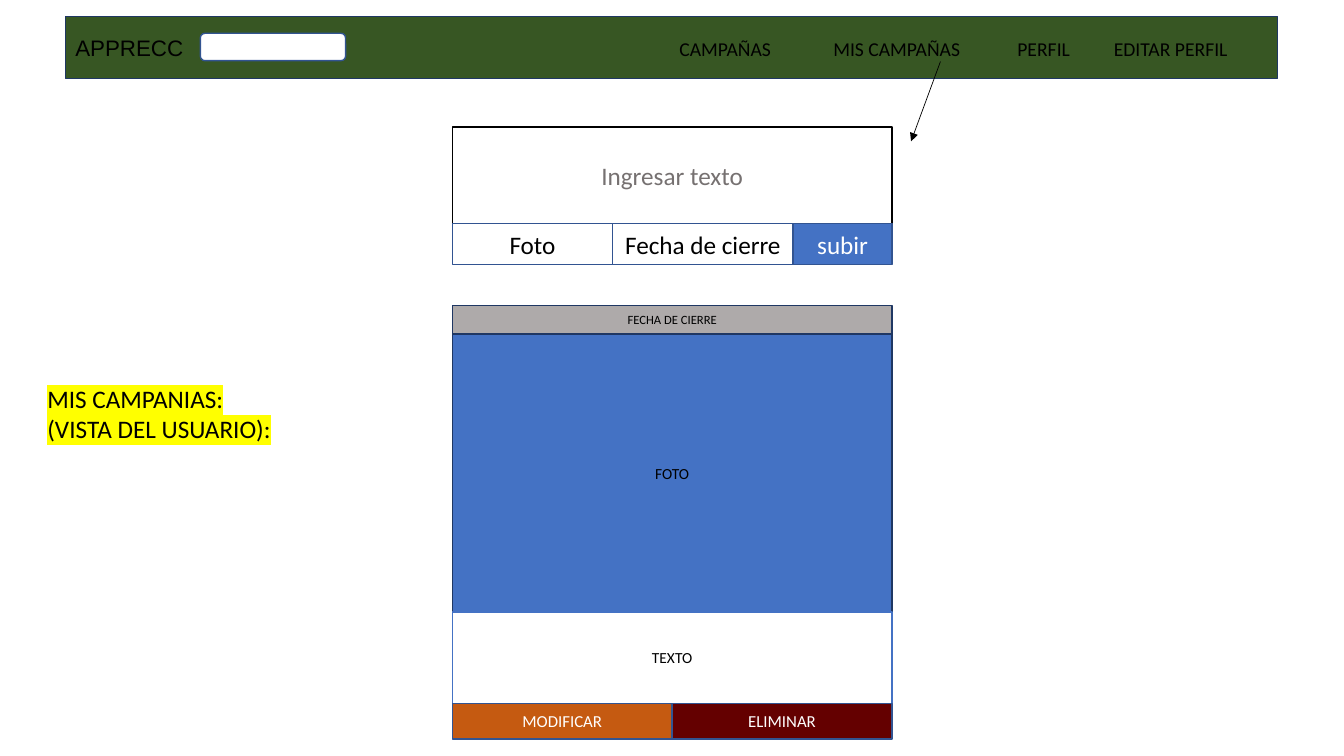
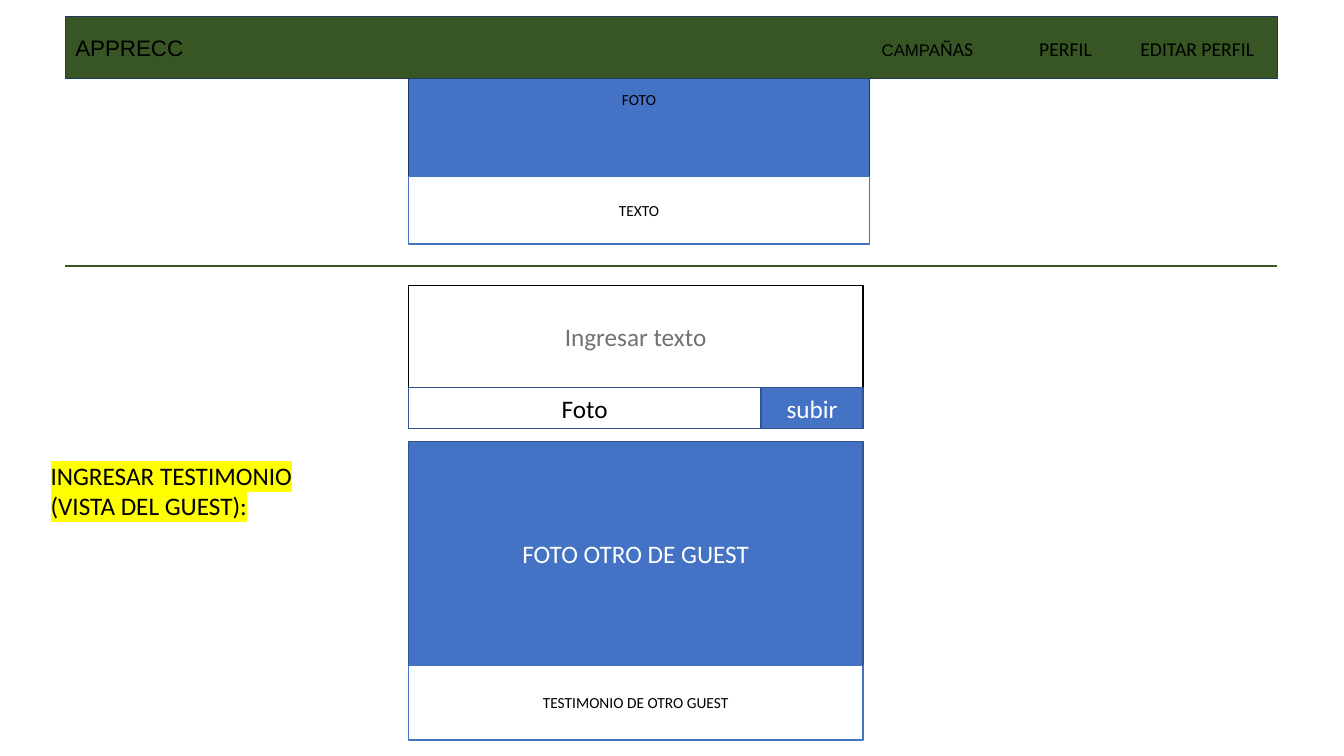
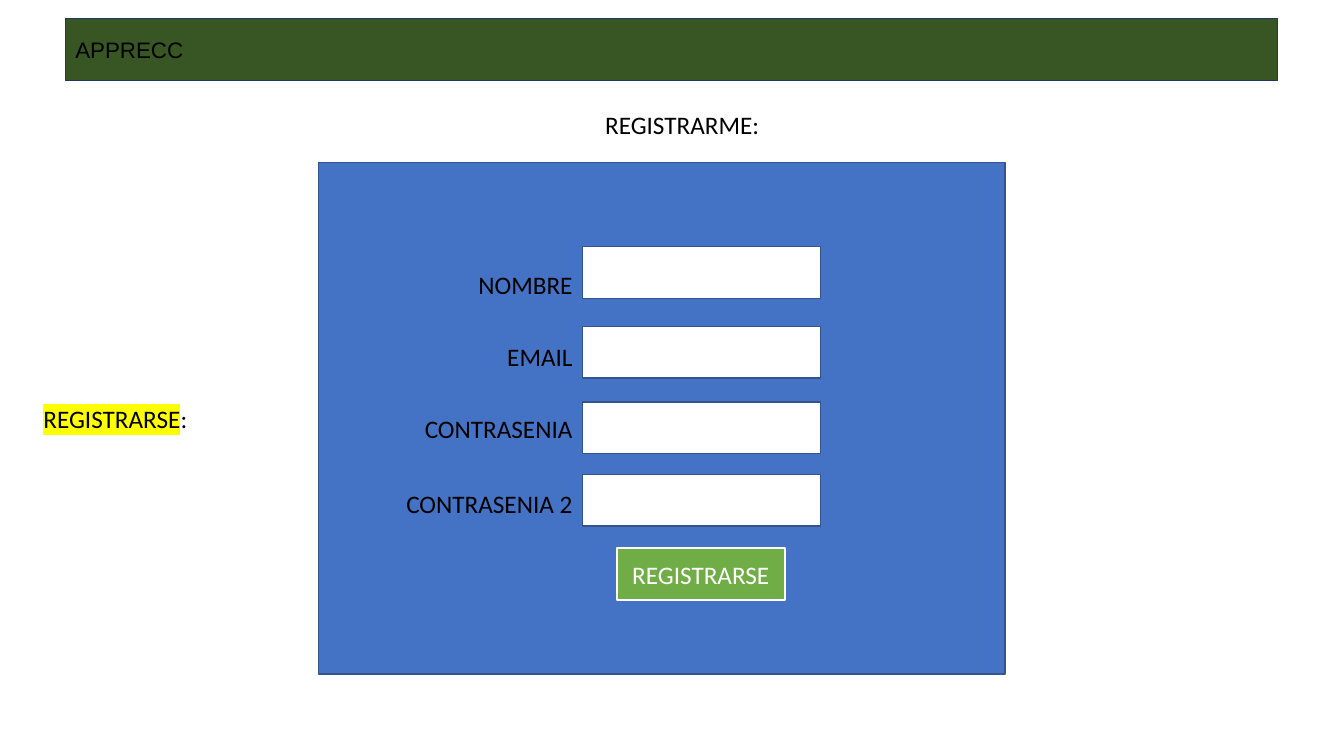
from dataclasses import dataclass
from typing import NamedTuple

from lxml.etree import SubElement
from pptx import Presentation
from pptx.dml.color import RGBColor
from pptx.enum.shapes import MSO_CONNECTOR, MSO_SHAPE
from pptx.enum.text import MSO_ANCHOR, MSO_AUTO_SIZE, PP_ALIGN
from pptx.oxml.ns import qn
from pptx.util import Cm, Pt

RECT, ROUND = MSO_SHAPE.RECTANGLE, MSO_SHAPE.ROUNDED_RECTANGLE
LINE = MSO_CONNECTOR.STRAIGHT
TOP, MIDDLE = MSO_ANCHOR.TOP, MSO_ANCHOR.MIDDLE
LEFT, CENTER, RIGHT = PP_ALIGN.LEFT, PP_ALIGN.CENTER, PP_ALIGN.RIGHT
GROW = MSO_AUTO_SIZE.SHAPE_TO_FIT_TEXT
TITLE_ONLY = 5


class Box(NamedTuple):
    """Left, top, width and height in centimetres."""
    x: float
    y: float
    w: float
    h: float

    def cm(self):
        """Return the four lengths for python-pptx."""
        return [Cm(n) for n in self]


@dataclass(frozen=True)
class Theme:
    """Colours, fonts and type sizes of the deck."""
    black: str = "000000"
    white: str = "FFFFFF"
    green: str = "375623"
    rule: str = "385723"
    leaf: str = "70AD47"
    blue: str = "4472C4"
    edge: str = "325491"
    navy: str = "1F3763"
    gray: str = "AEAAAA"
    hint: str = "767171"
    orange: str = "C55A11"
    red: str = "640000"
    yellow: str = "FFFF00"
    font: str = "Calibri"
    brand: str = "Arial"
    tiny: int = 9
    small: int = 11
    note: int = 12
    menu: int = 14
    logo: int = 16
    body: int = 18


T = Theme()


class Look(NamedTuple):
    """Fill, outline and text style of a block."""
    fill: str
    line: str
    ink: str = T.black
    size: int = T.body
    width: float = 1


BAR = Look(T.green, T.navy)
FIELD = Look(T.white, T.edge)
CLEAR = Look("", T.edge)
ENTRY = Look(T.white, T.black, T.hint)
SEND = Look(T.blue, T.edge, T.white)
DATE = Look(T.gray, T.navy, size=T.tiny)
PHOTO = Look(T.blue, T.navy, size=T.small)
WORDS = Look(T.white, T.blue, size=T.small)
EDIT = Look(T.orange, T.edge, T.white, T.note)
DROP = Look(T.red, T.edge, T.white, T.note)
JOIN = Look(T.leaf, T.white, T.white, width=1.5)

BAND = Box(1.65, 0.41, 30.54, 1.57)


def rgb(tone):
    """Turn a hex string into a colour."""
    return RGBColor.from_string(tone)


def say(para, text, size=T.body, ink=T.black, font=T.font, mark=""):
    """Add one run, highlighted if a mark colour is given."""
    run = para.add_run()
    run.text = text
    run.font.size = Pt(size)
    run.font.color.rgb = rgb(ink)
    if mark:
        glow = SubElement(run.font._element, qn("a:highlight"))
        SubElement(glow, qn("a:srgbClr"), val=mark)
    run.font.name = font


def block(shapes, box, look, text="", kind=RECT):
    """Draw a filled shape with centred text."""
    shape = shapes.add_shape(kind, *box.cm())
    shape.shadow.inherit = False
    if look.fill:
        shape.fill.solid()
        shape.fill.fore_color.rgb = rgb(look.fill)
    else:
        shape.fill.background()
    shape.line.color.rgb = rgb(look.line)
    shape.line.width = Pt(look.width)
    frame = shape.text_frame
    frame.word_wrap = True
    frame.vertical_anchor = MIDDLE
    if text:
        para = frame.paragraphs[0]
        para.alignment = CENTER
        say(para, text, look.size, look.ink)
    return shape


def label(shapes, box, text, align=LEFT):
    """Place a single line of plain text."""
    frame = shapes.add_textbox(*box.cm()).text_frame
    frame.word_wrap = False
    frame.auto_size = GROW
    para = frame.paragraphs[0]
    para.alignment = align
    say(para, text)


def stroke(slide, start, end, tone, width, arrow=False):
    """Draw a straight line, with an arrowhead on demand."""
    ends = [Cm(n) for n in (*start, *end)]
    line = slide.shapes.add_connector(LINE, *ends)
    line.line.color.rgb = rgb(tone)
    line.line.width = Pt(width)
    if arrow:
        SubElement(line.line._get_or_add_ln(), qn("a:tailEnd"), type="triangle")
    SubElement(line._element.spPr, qn("a:effectLst"))


def heading(slide, box, *lines):
    """Set the title; each line is (marked text, plain text)."""
    title = slide.shapes.title
    title.left, title.top, title.width, title.height = box.cm()
    frame = title.text_frame
    frame.word_wrap = False
    frame.auto_size = GROW
    frame.vertical_anchor = TOP
    for i, (marked, plain) in enumerate(lines):
        para = frame.add_paragraph() if i else frame.paragraphs[0]
        para.alignment = LEFT
        say(para, marked, mark=T.yellow)
        if plain:
            say(para, plain)


def navbar(slide, box, items=()):
    """Draw the top band; items are (tab stop in cm, text runs)."""
    bar = block(slide.shapes, box, BAR)
    para = bar.text_frame.paragraphs[0]
    para.alignment = LEFT
    say(para, "APPRECC", T.logo, font=T.brand)
    if items:
        stops = SubElement(para._p.get_or_add_pPr(), qn("a:tabLst"))
    for stop, runs in items:
        SubElement(stops, qn("a:tab"), pos=str(Cm(stop)), algn="l")
        say(para, "\t", T.menu)
        for text, size, font in runs:
            say(para, text, size, font=font)


def item(text):
    """Return the runs of an ordinary menu entry."""
    return [(text, T.menu, T.font)]


def stack(slide, box, rows):
    """Fill a box with rows of (height, cells of (width, look, text))."""
    shapes = slide.shapes.add_group_shape().shapes
    y = box.y
    for high, cells in rows:
        x, total = box.x, sum(cell[0] for cell in cells)
        for part, look, text in cells:
            wide = box.w * part / total
            block(shapes, Box(x, y, wide, high), look, text)
            x += wide
        y += high


def form(slide, box, high, cells):
    """Draw the text entry above its row of buttons."""
    stack(slide, box, [
        (box.h - high, [(1, ENTRY, "Ingresar texto")]),
        (high, cells),
    ])


def signup(slide, box):
    """Draw the panel with its fields and button."""
    shapes = slide.shapes.add_group_shape().shapes
    block(shapes, box, SEND)
    edge = box.x + 6.65
    fields = [
        ("NOMBRE", 2.9, 2.56, 2.13),
        ("EMAIL", 2.18, 4.39, 4.14),
        ("CONTRASENIA", 4.27, 6.2, 6.04),
        ("CONTRASENIA 2", 4.72, 8.08, 7.87),
    ]
    for text, wide, drop, top in fields:
        block(shapes, Box(edge, box.y + top, 6, 1.3), FIELD)
        label(shapes, Box(edge - wide, box.y + drop, wide, 1.02), text, RIGHT)
    block(shapes, Box(box.x + 7.51, box.y + 9.73, 4.24, 1.3), JOIN,
          "REGISTRARSE")


def user_view(slide):
    """Build the user's own campaigns."""
    navbar(slide, BAND, [
        (15.22, item("CAMPAÑAS")),
        (19.1, item("MIS CAMPAÑAS")),
        (23.74, item("PERFIL")),
        (26.17, item("EDITAR PERFIL")),
    ])
    block(slide.shapes, Box(5.05, 0.84, 3.66, 0.69), FIELD, kind=ROUND)
    stack(slide, Box(11.4, 7.7, 11.08, 10.92), [
        (0.72, [(1, DATE, "FECHA DE CIERRE")]),
        (7, [(1, PHOTO, "FOTO")]),
        (2.31, [(1, WORDS, "TEXTO")]),
        (0.89, [(1, EDIT, "MODIFICAR"), (1, DROP, "ELIMINAR")]),
    ])
    form(slide, Box(11.4, 3.2, 11.08, 3.46), 1.02, [
        (4.04, CLEAR, "Foto"),
        (4.55, FIELD, "Fecha de cierre"),
        (2.49, SEND, "subir"),
    ])
    heading(slide, Box(0.94, 9.53, 6.2, 1.8),
            ("MIS CAMPANIAS:", ""), ("(VISTA DEL USUARIO):", ""))
    stroke(slide, (23.7, 1.55), (22.96, 3.56), T.black, 0.5, arrow=True)


def guest_view(slide):
    """Build the guest's testimony page."""
    stack(slide, Box(10.29, 0.58, 11.63, 5.57), [
        (3.87, [(1, PHOTO, "FOTO")]),
        (1.7, [(1, WORDS, "TEXTO")]),
    ])
    navbar(slide, BAND, [
        (20.32, [("CAMPA", T.note, T.brand), ("ÑAS", T.menu, T.font)]),
        (24.29, item("PERFIL")),
        (26.84, item("EDITAR PERFIL")),
    ])
    form(slide, Box(10.29, 7.19, 11.46, 3.61), 1.04, [
        (8.89, CLEAR, "Foto"),
        (2.57, SEND, "subir"),
    ])
    stack(slide, Box(10.29, 11.13, 11.46, 7.52), [
        (5.64, [(1, SEND, "FOTO OTRO DE GUEST")]),
        (1.88, [(1, WORDS, "TESTIMONIO DE OTRO GUEST")]),
    ])
    stroke(slide, (BAND.x, 6.71), (BAND.x + BAND.w, 6.71), T.rule, 1.5)
    heading(slide, Box(1.02, 11.46, 6.65, 1.8),
            ("INGRESAR TESTIMONIO", ""), ("(VISTA DEL GUEST):", ""))


def join_view(slide):
    """Build the sign-up page."""
    signup(slide, Box(8.03, 4.09, 17.3, 12.9))
    navbar(slide, BAND._replace(y=0.46))
    label(slide.shapes, Box(15, 2.64, 9.63, 1.02), "REGISTRARME:")
    heading(slide, Box(0.84, 10.03, 4.17, 1.02), ("REGISTRARSE", ":"))


def main():
    """Build and save the deck."""
    deck = Presentation()
    deck.slide_width, deck.slide_height = Cm(33.87), Cm(19.05)
    for view in (user_view, guest_view, join_view):
        view(deck.slides.add_slide(deck.slide_layouts[TITLE_ONLY]))
    deck.save("out.pptx")


main()
